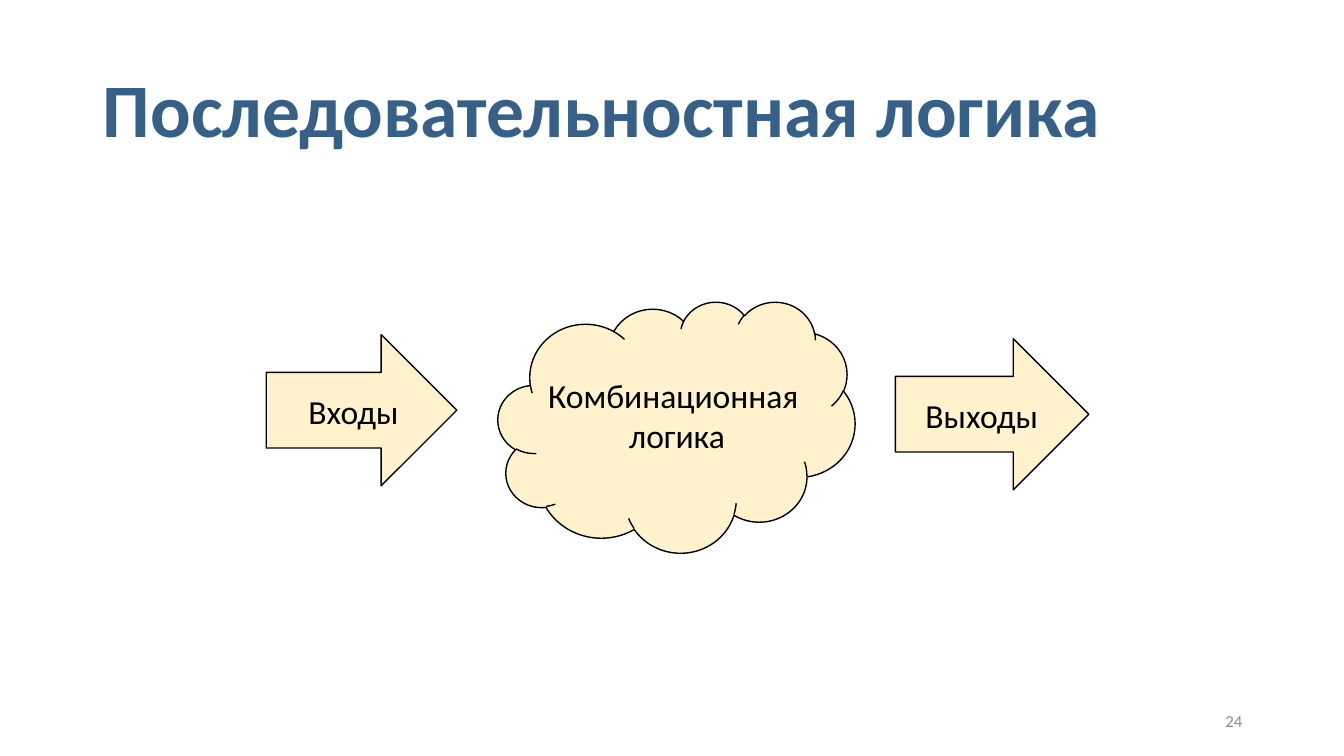
from dataclasses import dataclass
from pptx import Presentation
from pptx.dml.color import RGBColor
from pptx.enum.shapes import MSO_SHAPE
from pptx.enum.text import MSO_ANCHOR, MSO_AUTO_SIZE, PP_ALIGN
from pptx.util import Inches, Pt

ARROW, CLOUD, RECT = MSO_SHAPE.RIGHT_ARROW, MSO_SHAPE.CLOUD, MSO_SHAPE.RECTANGLE
LEFT, CENTER, RIGHT = PP_ALIGN.LEFT, PP_ALIGN.CENTER, PP_ALIGN.RIGHT
TOP, MIDDLE = MSO_ANCHOR.TOP, MSO_ANCHOR.MIDDLE
NONE, GROW = MSO_AUTO_SIZE.NONE, MSO_AUTO_SIZE.SHAPE_TO_FIT_TEXT


@dataclass(frozen=True)
class Theme:
    font: str = "Calibri"
    title: str = "366088"
    page: str = "8C8C8C"
    ink: str = "000000"
    fill: str = "FFF2CC"
    head: int = 54
    label: int = 24
    small: int = 12


THEME = Theme()
TITLE = ("Последовательностная логика", (0.92, 0.4, 11.5, 1.45))
PAGE = ("24", (9.42, 6.95, 3, 0.4))
BLOCKS = [
    (ARROW, (2.64, 3.32, 1.89, 1.5), ["Входы"], (2.96, 3.83, 1.1, 0.5), LEFT),
    (ARROW, (8.88, 3.36, 1.92, 1.5), ["Выходы"], (9.08, 3.87, 1.33, 0.5), LEFT),
    (CLOUD, (4.94, 2.99, 3.54, 2.49), ["Комбинационная ", "логика"],
     (5.32, 3.67, 2.79, 0.91), CENTER),
]


def color(code):
    return RGBColor.from_string(code)


def write(shape, lines, size, ink, align, anchor, wrap=True, fit=NONE, bold=False):
    frame = shape.text_frame
    frame.word_wrap = wrap
    frame.auto_size = fit
    frame.vertical_anchor = anchor
    para = frame.paragraphs[0]
    para.alignment = align
    for index, line in enumerate(lines):
        if index:
            para.add_line_break()
        run = para.add_run()
        run.text = line
        run.font.name = THEME.font
        run.font.size = Pt(size)
        run.font.bold = bold
        run.font.color.rgb = color(ink)
    return para


def draw(slide, kind, box, edge):
    shape = slide.shapes.add_shape(kind, *map(Inches, box))
    shape.shadow.inherit = False
    shape.fill.solid()
    shape.fill.fore_color.rgb = color(THEME.fill)
    if edge:
        shape.line.color.rgb = color(THEME.ink)
        shape.line.width = Pt(1)
    else:
        shape.line.fill.background()
    return shape


def main():
    deck = Presentation()
    deck.slide_width, deck.slide_height = Inches(13.33), Inches(7.5)
    slide = deck.slides.add_slide(deck.slide_layouts[5])

    text, box = TITLE
    title = slide.shapes.title
    title.left, title.top, title.width, title.height = map(Inches, box)
    para = write(title, [text], THEME.head, THEME.title, LEFT, MIDDLE, bold=True)
    para.line_spacing = 0.9

    text, box = PAGE
    page = slide.shapes.add_textbox(*map(Inches, box))
    write(page, [text], THEME.small, THEME.page, RIGHT, MIDDLE)

    for kind, box, lines, place, align in BLOCKS:
        draw(slide, kind, box, True)
        label = draw(slide, RECT, place, False)
        write(label, lines, THEME.label, THEME.ink, align, TOP, False, GROW)

    deck.save("out.pptx")


if __name__ == "__main__":
    main()
